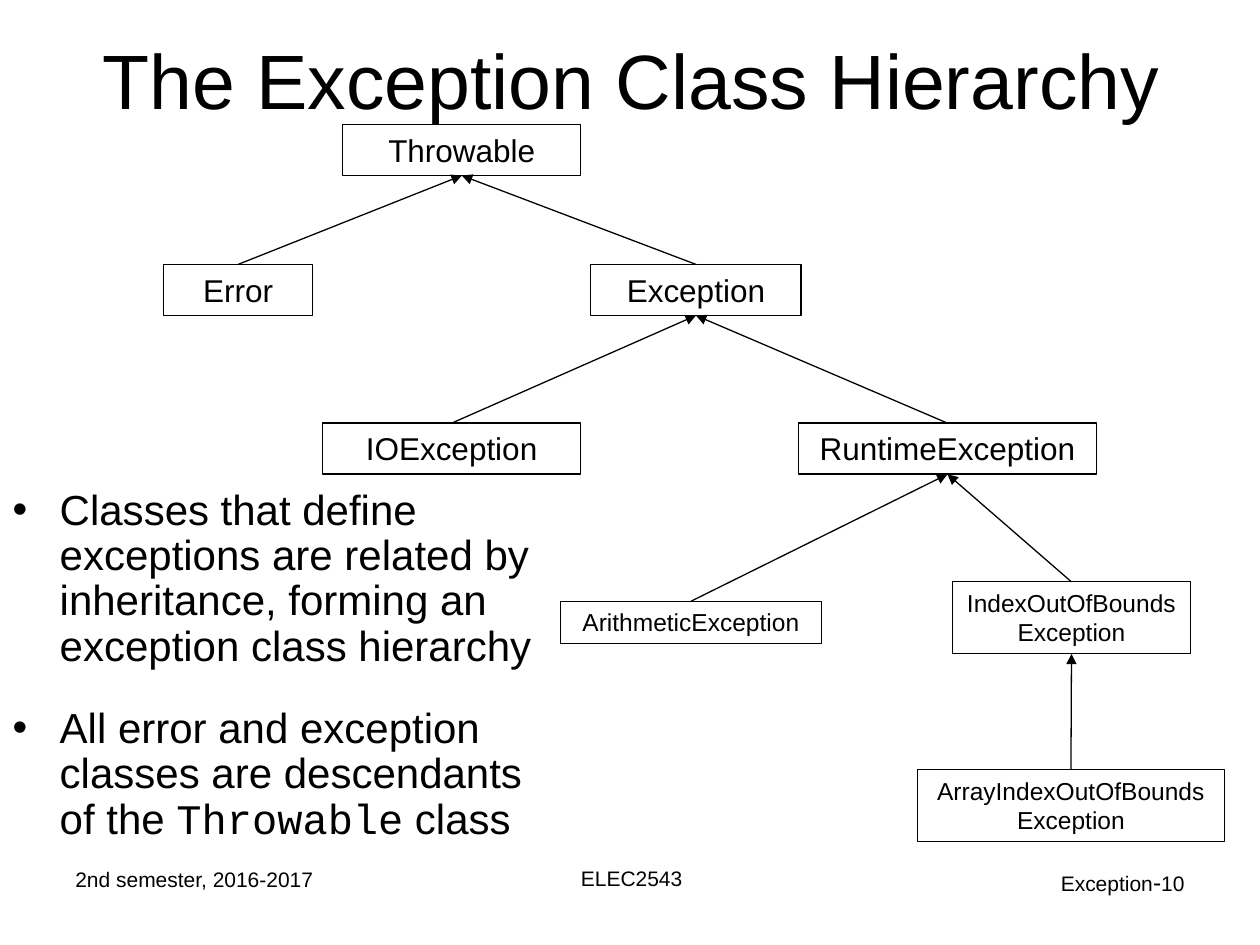
from lxml import etree
from pptx import Presentation
from pptx.dml.color import RGBColor
from pptx.enum.shapes import MSO_CONNECTOR, MSO_SHAPE
from pptx.enum.text import MSO_ANCHOR, MSO_AUTO_SIZE, PP_ALIGN
from pptx.oxml.ns import qn
from pptx.util import Cm, Pt

BLACK = RGBColor(0, 0, 0)
SANS, MONO = "Arial", "Courier New"
LEFT, CENTER, RIGHT = PP_ALIGN.LEFT, PP_ALIGN.CENTER, PP_ALIGN.RIGHT
TOP_SIDE, BOTTOM_SIDE = 0, 2
LINE_WIDTH = Pt(0.75)

# class name: (parent, left, top, width, height in cm, font size)
CLASSES = {
    "Throwable": (None, 6.91, 2.51, 4.8, 1.03, 18),
    "Error": ("Throwable", 3.3, 5.33, 3, 1.03, 18),
    "Exception": ("Throwable", 11.91, 5.33, 4.24, 1.03, 18),
    "RuntimeException": ("Exception", 16.1, 8.53, 6, 1.03, 18),
    "IOException": ("Exception", 6.5, 8.53, 5.21, 1.03, 18),
    "IndexOutOfBoundsException": ("RuntimeException", 19.2, 11.73, 4.8, 1.45, 14),
    "ArithmeticException": ("RuntimeException", 11.3, 12.12, 5.26, 0.86, 14),
    "ArrayIndexOutOfBoundsException":
        ("IndexOutOfBoundsException", 18.49, 15.52, 6.2, 1.45, 14),
}
BULLETS = [
    [("Classes that define exceptions are related by inheritance, "
      "forming an exception class hierarchy", SANS)],
    [("All error and exception classes are descendants of the ", SANS),
     ("Throwable", MONO), (" class", SANS)],
]
# left, top, width in cm, alignment, (text, size) spans
FOOTERS = [
    (1.27, 17.35, 5.92, LEFT, [("2nd semester, 2016-2017", 12)]),
    (8.71, 17.32, 8.05, CENTER, [("ELEC2543", 12)]),
    (18.21, 17.35, 5.92, RIGHT, [("Exception", 12), ("-", 14), ("10", 12)]),
]


def place(shape, left, top, width, height):
    shape.left, shape.top = Cm(left), Cm(top)
    shape.width, shape.height = Cm(width), Cm(height)


def add_span(para, text, size, font=SANS):
    span = para.add_run()
    span.text = text
    span.font.size = Pt(size)
    span.font.name = font
    span.font.color.rgb = BLACK


def set_title(page):
    title = page.shapes.title
    place(title, 1.3, 0, 22.86, 3.18)
    frame = title.text_frame
    frame.auto_size = MSO_AUTO_SIZE.NONE
    frame.vertical_anchor = MSO_ANCHOR.MIDDLE
    para = frame.paragraphs[0]
    para.alignment = CENTER
    add_span(para, "The Exception Class Hierarchy", 44)


def set_bullets(page):
    body = page.placeholders[1]
    place(body, 0, 9.73, 11, 7.8)
    frame = body.text_frame
    frame.auto_size = MSO_AUTO_SIZE.NONE
    for index, spans in enumerate(BULLETS):
        para = frame.add_paragraph() if index else frame.paragraphs[0]
        para.line_spacing = 0.9
        para.space_before = Pt(21)
        properties = para._p.get_or_add_pPr()
        properties.set("marL", str(Cm(0.95)))
        properties.set("indent", str(-Cm(0.95)))
        etree.SubElement(properties, qn("a:buChar"), char="•")
        for text, font in spans:
            add_span(para, text, 24, font)


def add_class_box(page, name, left, top, width, height, size):
    box = page.shapes.add_shape(
        MSO_SHAPE.RECTANGLE, Cm(left), Cm(top), Cm(width), Cm(height))
    box.shadow.inherit = False
    box.fill.background()
    box.line.color.rgb = BLACK
    box.line.width = LINE_WIDTH
    frame = box.text_frame
    frame.word_wrap = True
    frame.auto_size = MSO_AUTO_SIZE.SHAPE_TO_FIT_TEXT
    frame.vertical_anchor = MSO_ANCHOR.TOP
    para = frame.paragraphs[0]
    para.alignment = CENTER
    add_span(para, name, size)
    return box


def add_inheritance_arrow(page, child, parent):
    arrow = page.shapes.add_connector(MSO_CONNECTOR.STRAIGHT, 0, 0, 0, 0)
    arrow.begin_connect(child, TOP_SIDE)
    arrow.end_connect(parent, BOTTOM_SIDE)
    arrow.line.color.rgb = BLACK
    arrow.line.width = LINE_WIDTH
    etree.SubElement(arrow.line._get_or_add_ln(), qn("a:tailEnd"), type="triangle")
    etree.SubElement(arrow._element.spPr, qn("a:effectLst"))


def add_footer(page, left, top, width, alignment, spans):
    box = page.shapes.add_textbox(Cm(left), Cm(top), Cm(width), Cm(1.32))
    box.text_frame.word_wrap = True
    para = box.text_frame.paragraphs[0]
    para.alignment = alignment
    for text, size in spans:
        add_span(para, text, size)


def main():
    deck = Presentation()
    deck.slide_width, deck.slide_height = Cm(25.4), Cm(19.05)
    page = deck.slides.add_slide(deck.slide_layouts[1])
    set_title(page)
    set_bullets(page)
    boxes = {name: add_class_box(page, name, *layout)
             for name, (_, *layout) in CLASSES.items()}
    for name, (parent, *_) in CLASSES.items():
        if parent:
            add_inheritance_arrow(page, boxes[name], boxes[parent])
    for footer in FOOTERS:
        add_footer(page, *footer)
    deck.save("out.pptx")


if __name__ == "__main__":
    main()
